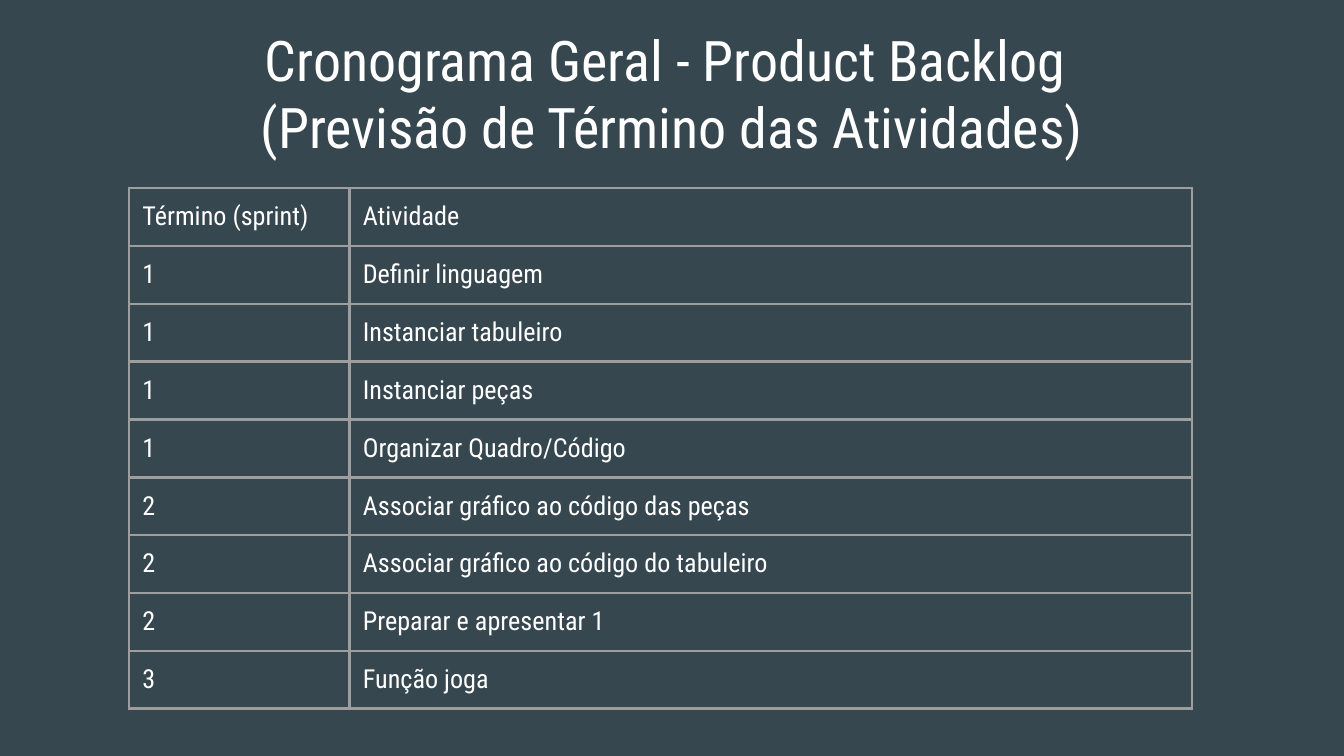
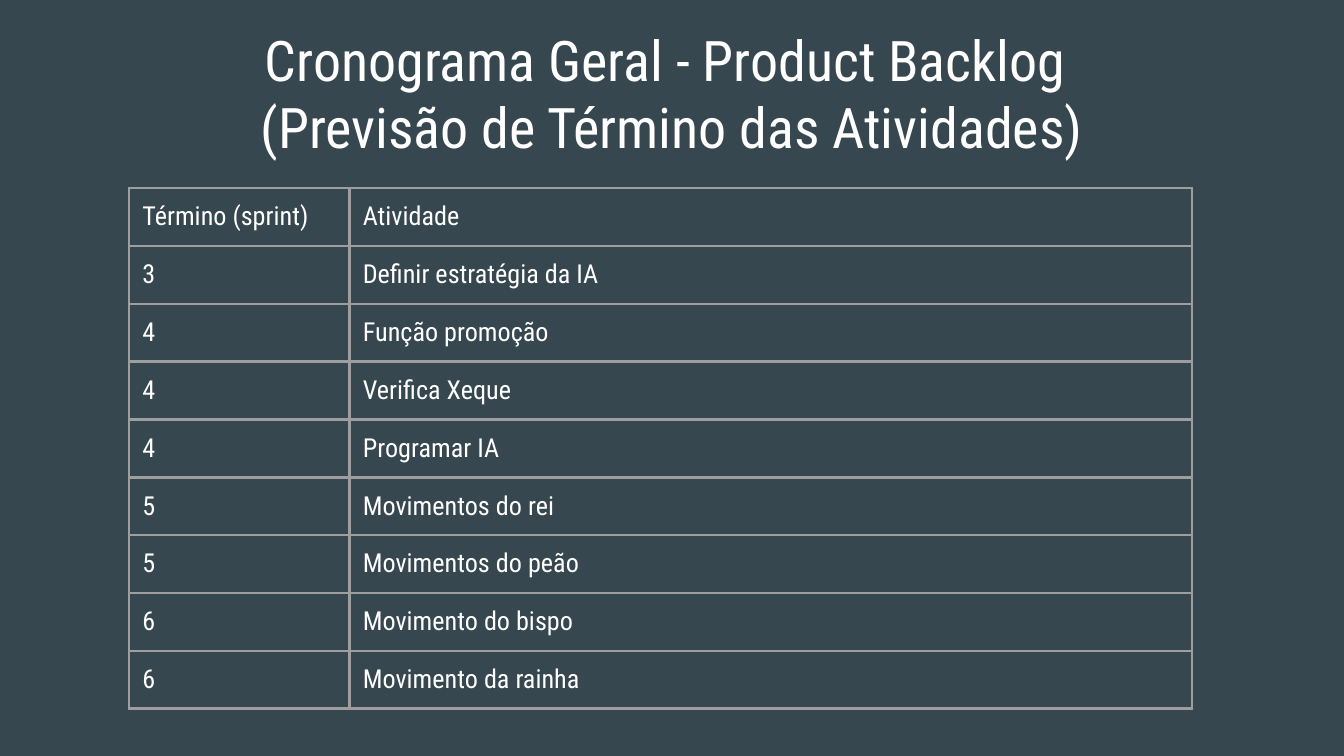
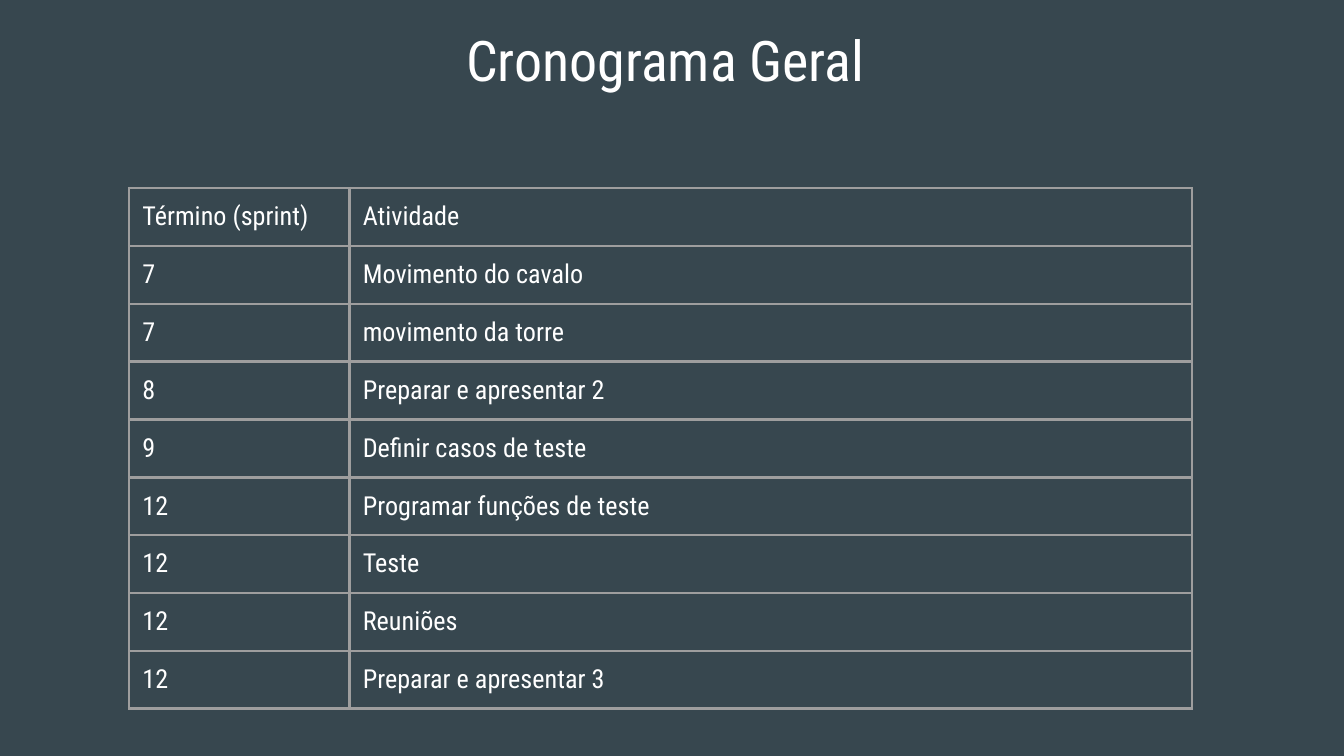
from lxml import etree
from pptx import Presentation
from pptx import util as u
from pptx.dml.color import RGBColor
from pptx.enum import text
from pptx.oxml import ns

# Shared look
BACK, INK, RULE = "37474F", "FFFFFF", "9E9E9E"
FONT = "Roboto Condensed"
PAD = u.Inches(0.1)

# Content
HEAD = ("Término (sprint)", "Atividade")
BACKLOG = ["Cronograma Geral - Product Backlog ",
           "(Previsão de Término das Atividades)"]
PAGES = [
    (BACKLOG, [
        (1, "Definir linguagem"),
        (1, "Instanciar tabuleiro"),
        (1, "Instanciar peças"),
        (1, "Organizar Quadro/Código"),
        (2, "Associar gráfico ao código das peças"),
        (2, "Associar gráfico ao código do tabuleiro"),
        (2, "Preparar e apresentar 1"),
        (3, "Função joga"),
    ]),
    (BACKLOG, [
        (3, "Definir estratégia da IA"),
        (4, "Função promoção"),
        (4, "Verifica Xeque"),
        (4, "Programar IA"),
        (5, "Movimentos do rei"),
        (5, "Movimentos do peão"),
        (6, "Movimento do bispo"),
        (6, "Movimento da rainha"),
    ]),
    (["Cronograma Geral "], [
        (7, "Movimento do cavalo"),
        (7, "movimento da torre"),
        (8, "Preparar e apresentar 2"),
        (9, "Definir casos de teste"),
        (12, "Programar funções de teste"),
        (12, "Teste"),
        (12, "Reuniões"),
        (12, "Preparar e apresentar 3"),
    ]),
]


def color(code):
    return RGBColor.from_string(code)


class Deck:
    def __init__(self):
        self.prs = Presentation()
        self.prs.slide_width = u.Inches(10)
        self.prs.slide_height = u.Inches(10 * 9 / 16)
        self.slide = None

    def page(self):
        layout = self.prs.slide_layouts.get_by_name("Title Only")
        self.slide = self.prs.slides.add_slide(layout)
        fill = self.slide.background.fill
        fill.solid()
        fill.fore_color.rgb = color(BACK)

    def style(self, para, size):
        para.font.name = FONT
        para.font.size = u.Pt(size)
        para.font.color.rgb = color(INK)

    def pad(self, box):
        box.margin_left = box.margin_right = PAD
        box.margin_top = box.margin_bottom = PAD

    def title(self, lines):
        shape = self.slide.shapes.title
        shape.left, shape.top = u.Inches(0.34), u.Inches(0.09)
        shape.width, shape.height = u.Inches(9.32), u.Inches(0.63)
        frame = shape.text_frame
        frame.text = "\n".join(lines)
        frame.word_wrap = True
        frame.auto_size = text.MSO_AUTO_SIZE.NONE
        frame.vertical_anchor = text.MSO_ANCHOR.TOP
        self.pad(frame)
        for para in frame.paragraphs:
            para.alignment = text.PP_ALIGN.CENTER
            self.style(para, 30)

    def border(self, cell):
        props = cell._tc.get_or_add_tcPr()
        for side in ("a:lnL", "a:lnR", "a:lnT", "a:lnB"):
            line = etree.SubElement(props, ns.qn(side), w=str(u.Pt(1.5)))
            fill = etree.SubElement(line, ns.qn("a:solidFill"))
            etree.SubElement(fill, ns.qn("a:srgbClr"), val=RULE)

    def table(self, rows, widths=(1.64, 6.27), high=0.42):
        frame = self.slide.shapes.add_table(
            len(rows), len(widths), u.Inches(0.96), u.Inches(1.4),
            u.Inches(sum(widths)), u.Inches(high * len(rows)))
        grid = frame.table
        grid.first_row = grid.horz_banding = False
        for col, width in zip(grid.columns, widths):
            col.width = u.Inches(width)
        for row, values in zip(grid.rows, rows):
            row.height = u.Inches(high)
            for cell, value in zip(row.cells, values):
                cell.text = str(value)
                self.pad(cell)
                self.style(cell.text_frame.paragraphs[0], 14)
                self.border(cell)
                cell.fill.background()


def main():
    deck = Deck()
    for lines, tasks in PAGES:
        deck.page()
        deck.title(lines)
        deck.table([HEAD, *tasks])
    deck.prs.save("out.pptx")


if __name__ == "__main__":
    main()
